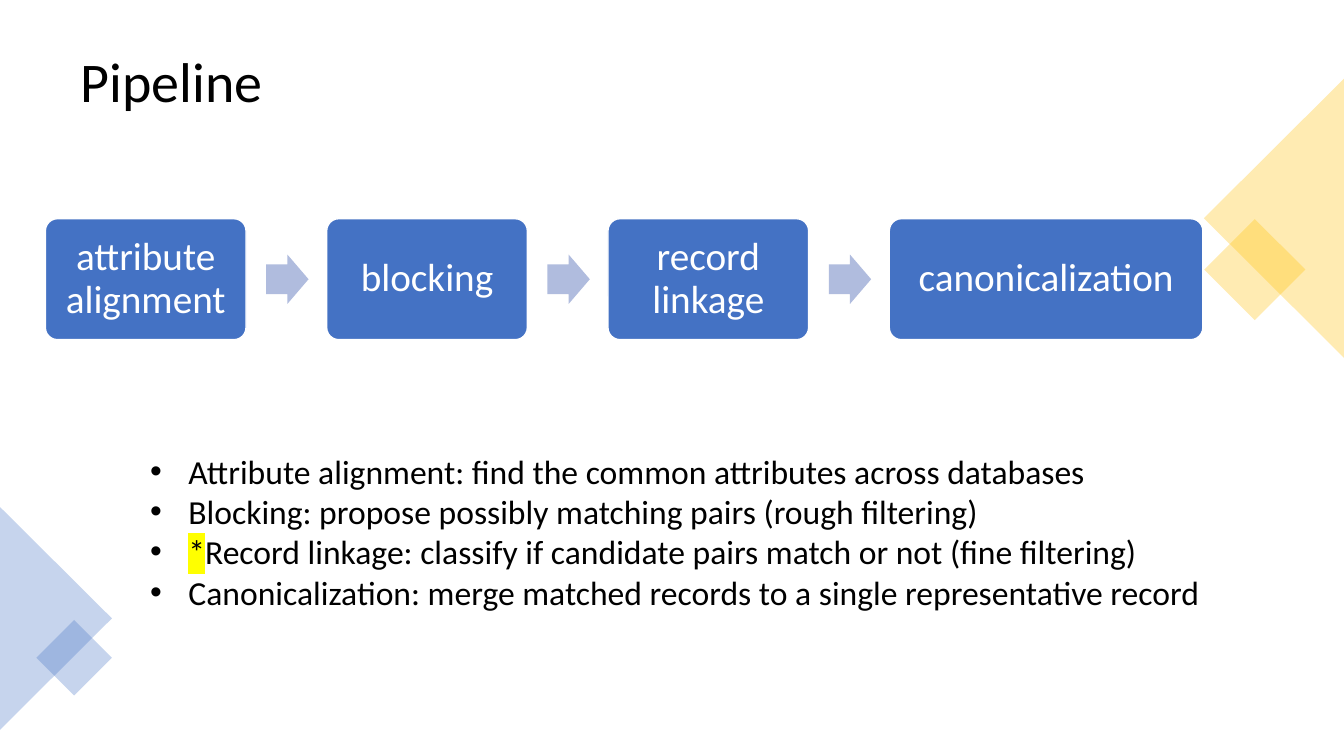
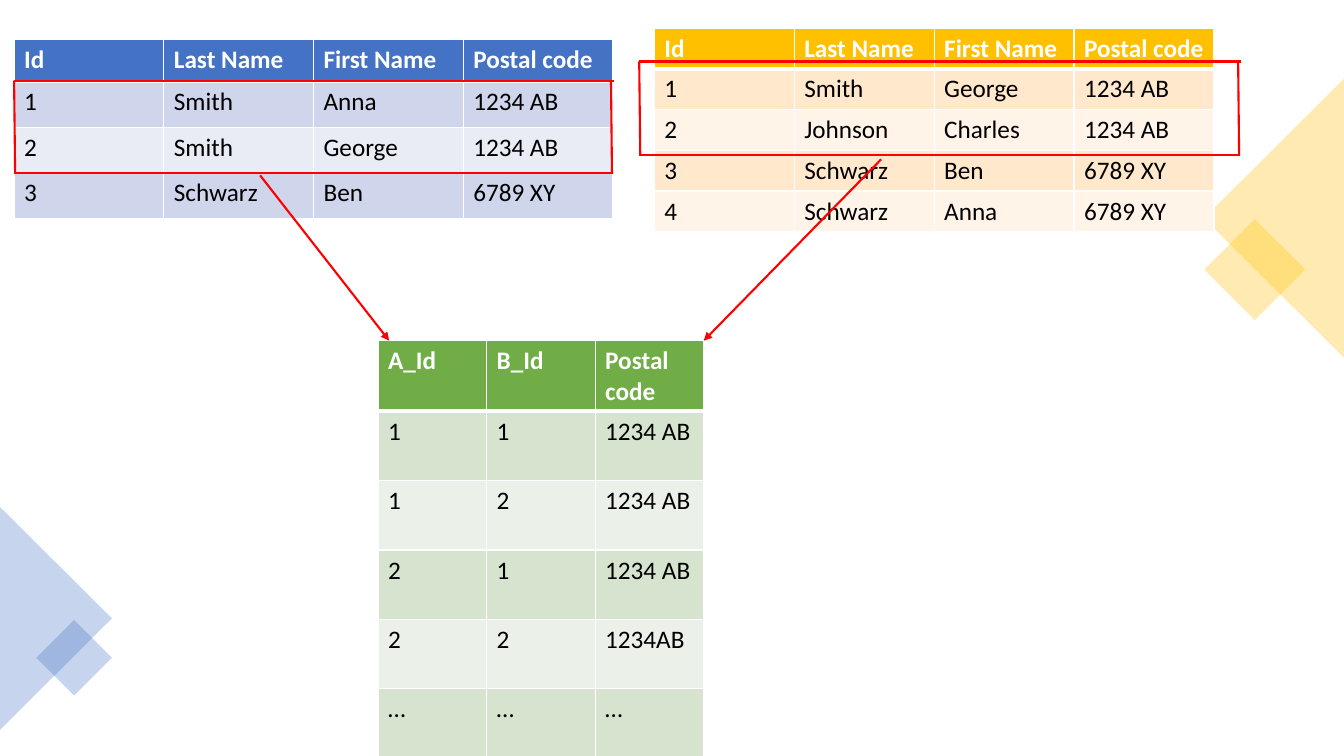
from pptx import Presentation
from pptx.dml.color import RGBColor
from pptx.enum.shapes import MSO_CONNECTOR, MSO_SHAPE
from pptx.enum.text import MSO_ANCHOR, PP_ALIGN
from pptx.oxml.ns import qn
from pptx.util import Inches, Pt
from lxml.etree import SubElement

FONT = "Calibri"
BLACK = RGBColor(0x00, 0x00, 0x00)
WHITE = RGBColor(0xFF, 0xFF, 0xFF)
RED = RGBColor(0xFF, 0x00, 0x00)
YELLOW = RGBColor(0xFF, 0xFF, 0x00)
BLUE = RGBColor(0x44, 0x72, 0xC4)
GOLD = RGBColor(0xFF, 0xC0, 0x00)
GREEN = RGBColor(0x70, 0xAD, 0x47)
PALE_BLUE = RGBColor(0xB0, 0xBC, 0xDE)
BLUE_BANDS = (RGBColor(0xCF, 0xD5, 0xEA), RGBColor(0xE9, 0xEB, 0xF5))
GOLD_BANDS = (RGBColor(0xFF, 0xE8, 0xCC), RGBColor(0xFF, 0xF4, 0xE7))
GREEN_BANDS = (RGBColor(0xD5, 0xE3, 0xCF), RGBColor(0xEB, 0xF1, 0xE9))

# Shape, left, top, width, height, rotation, colour
DECORATIONS = [
    (MSO_SHAPE.RECTANGLE, 12.09, 2.32, 0.71, 0.71, 45, GOLD),
    (MSO_SHAPE.ISOSCELES_TRIANGLE, 11.25, 1.47, 2.77, 1.39, 270, GOLD),
    (MSO_SHAPE.ISOSCELES_TRIANGLE, -0.55, 5.58, 2.21, 1.11, 90, BLUE),
    (MSO_SHAPE.RECTANGLE, 0.47, 6.26, 0.53, 0.53, 45, BLUE),
]
DECORATION_OPACITY = 30

# Step, box width
STEPS = [
    ("attribute alignment", 1.99),
    ("blocking", 1.99),
    ("record linkage", 1.99),
    ("canonicalization", 3.11),
]
STEP_LEFT, STEP_TOP, STEP_HEIGHT, STEP_PITCH = 0.45, 2.17, 1.2, 2.79
ARROW_OFFSET, ARROW_WIDTH, ARROW_HEIGHT = 2.19, 0.42, 0.49

# Highlighted mark, text
EXPLANATIONS = [
    ("", "Attribute alignment: find the common attributes across databases"),
    ("", "Blocking: propose possibly matching pairs (rough filtering)"),
    ("*", "Record linkage: classify if candidate pairs match or not (fine filtering)"),
    ("", "Canonicalization: merge matched records to a single representative record"),
]

PERSON_HEADER = ("Id", "Last Name", "First Name", "Postal code")
TABLES = [
    dict(left=0.14, top=0.39, column_width=1.485, row_heights=[0.42] + [0.453] * 3,
         colour=BLUE, bands=BLUE_BANDS, rows=[
             PERSON_HEADER,
             ("1", "Smith", "Anna", "1234 AB"),
             ("2", "Smith", "George", "1234 AB"),
             ("3", "Schwarz", "Ben", "6789 XY")]),
    dict(left=6.49, top=0.28, column_width=1.3875, row_heights=[0.404] * 5,
         colour=GOLD, bands=GOLD_BANDS, rows=[
             PERSON_HEADER,
             ("1", "Smith", "George", "1234 AB"),
             ("2", "Johnson", "Charles", "1234 AB"),
             ("3", "Schwarz", "Ben", "6789 XY"),
             ("4", "Schwarz", "Anna", "6789 XY")]),
    dict(left=3.75, top=3.38, column_width=1.0767, row_heights=[0.688] * 6,
         colour=GREEN, bands=GREEN_BANDS, rows=[
             ("A_Id", "B_Id", "Postal code"),
             ("1", "1", "1234 AB"),
             ("1", "2", "1234 AB"),
             ("2", "1", "1234 AB"),
             ("2", "2", "1234AB"),
             ("…", "…", "…")]),
]
# Left, top, right, bottom of the candidate rows
FRAMES = [(0.14, 0.8, 6.06, 1.72), (6.34, 0.61, 12.28, 1.54)]
ARROWS = [((2.58, 1.74), (3.86, 3.38)), ((8.74, 1.58), (6.98, 3.38))]


def set_font(para, size, colour, bold=False):
    para.font.name = FONT
    para.font.size = Pt(size)
    para.font.bold = bold
    para.font.color.rgb = colour


def add_filled_shape(page, kind, left, top, width, height, colour):
    shape = page.shapes.add_shape(
        kind, Inches(left), Inches(top), Inches(width), Inches(height))
    shape.shadow.inherit = False
    shape.fill.solid()
    shape.fill.fore_color.rgb = colour
    shape.line.fill.background()
    return shape


def add_decorations(page):
    for kind, left, top, width, height, rotation, colour in DECORATIONS:
        shape = add_filled_shape(page, kind, left, top, width, height, colour)
        shape.rotation = rotation
        fill_colour = shape.element.spPr.find(qn("a:solidFill"))[0]
        SubElement(fill_colour, qn("a:alpha"), val=str(DECORATION_OPACITY * 1000))


def add_title(page, text):
    title = page.shapes.title
    title.left, title.top = Inches(0.7), Inches(0.35)
    title.width, title.height = Inches(11.93), Inches(0.98)
    title.text_frame.text = text
    title.text_frame.vertical_anchor = MSO_ANCHOR.MIDDLE
    para = title.text_frame.paragraphs[0]
    para.alignment = PP_ALIGN.LEFT
    para.line_spacing = 0.9
    set_font(para, 40, BLACK)


def add_pipeline(page):
    for index, (text, width) in enumerate(STEPS):
        left = STEP_LEFT + index * STEP_PITCH
        box = add_filled_shape(page, MSO_SHAPE.ROUNDED_RECTANGLE,
                               left, STEP_TOP, width, STEP_HEIGHT, BLUE)
        box.adjustments[0] = 0.1
        box.line.color.rgb = WHITE
        box.line.width = Pt(1)
        frame = box.text_frame
        frame.word_wrap = True
        frame.vertical_anchor = MSO_ANCHOR.MIDDLE
        frame.margin_left = frame.margin_right = Inches(0.12)
        frame.text = text
        para = frame.paragraphs[0]
        para.alignment = PP_ALIGN.CENTER
        para.line_spacing = 0.9
        set_font(para, 28, WHITE)
        if index < len(STEPS) - 1:
            arrow = add_filled_shape(
                page, MSO_SHAPE.RIGHT_ARROW, left + ARROW_OFFSET,
                STEP_TOP + (STEP_HEIGHT - ARROW_HEIGHT) / 2,
                ARROW_WIDTH, ARROW_HEIGHT, PALE_BLUE)
            arrow.adjustments[0] = 0.6
            arrow.adjustments[1] = 0.5


def add_explanations(page):
    box = page.shapes.add_textbox(Inches(1.39), Inches(4.42), Inches(11.31), Inches(2.12))
    frame = box.text_frame
    frame.word_wrap = True
    for index, (mark, text) in enumerate(EXPLANATIONS):
        para = frame.add_paragraph() if index else frame.paragraphs[0]
        set_font(para, 24, BLACK)
        properties = para._p.get_or_add_pPr()
        properties.set("marL", str(Inches(0.38)))
        properties.set("indent", str(Inches(-0.38)))
        bullet = properties.makeelement(qn("a:buChar"), {"char": "•"})
        properties.insert(0, bullet)
        bullet_font = properties.makeelement(qn("a:buFont"), {"typeface": "Arial"})
        properties.insert(0, bullet_font)
        if mark:
            span = para.add_run()
            span.text = mark
            highlight = SubElement(span._r.get_or_add_rPr(), qn("a:highlight"))
            SubElement(highlight, qn("a:srgbClr"), val=str(YELLOW))
        para.add_run().text = text


def set_borders(cell, row_index):
    """Draw thin white borders, with a thick one under the header row."""
    properties = cell._tc.get_or_add_tcPr()
    widths = {"lnL": 1, "lnR": 1,
              "lnT": 3 if row_index == 1 else 1,
              "lnB": 3 if row_index == 0 else 1}
    for side, width in widths.items():
        border = SubElement(properties, qn(f"a:{side}"), w=str(Pt(width)))
        fill = SubElement(border, qn("a:solidFill"))
        SubElement(fill, qn("a:srgbClr"), val=str(WHITE))


def add_record_table(page, left, top, column_width, row_heights, colour, bands, rows):
    columns = len(rows[0])
    table = page.shapes.add_table(
        len(rows), columns, Inches(left), Inches(top),
        Inches(column_width * columns), Inches(sum(row_heights))).table
    for column in table.columns:
        column.width = Inches(column_width)
    for row_index, (values, height) in enumerate(zip(rows, row_heights)):
        is_header = row_index == 0
        table.rows[row_index].height = Inches(height)
        for column_index, value in enumerate(values):
            cell = table.cell(row_index, column_index)
            set_borders(cell, row_index)
            cell.fill.solid()
            cell.fill.fore_color.rgb = colour if is_header else bands[(row_index - 1) % 2]
            cell.text = value
            set_font(cell.text_frame.paragraphs[0], 18,
                     WHITE if is_header else BLACK, bold=is_header)


def add_red_line(page, start, end, arrowhead=False):
    line = page.shapes.add_connector(
        MSO_CONNECTOR.STRAIGHT, *(Inches(value) for value in (*start, *end)))
    line.line.color.rgb = RED
    line.line.width = Pt(1.5)
    if arrowhead:
        SubElement(line.element.spPr.find(qn("a:ln")), qn("a:tailEnd"), type="triangle")
    SubElement(line.element.spPr, qn("a:effectLst"))


def add_row_frame(page, left, top, right, bottom):
    """Frame table rows with four lines: sides lean slightly, edges overshoot."""
    for x in (left, right):
        add_red_line(page, (x, top), (x + 0.01, bottom))
    add_red_line(page, (left, top), (right + 0.03, top))
    add_red_line(page, (left, bottom), (right + 0.02, bottom))


def add_page(deck, layout_index):
    page = deck.slides.add_slide(deck.slide_layouts[layout_index])
    add_decorations(page)
    return page


def main():
    deck = Presentation()
    deck.slide_width, deck.slide_height = Inches(13.33), Inches(7.5)
    title_only, blank = 5, 6

    page = add_page(deck, title_only)
    add_title(page, "Pipeline")
    add_pipeline(page)
    add_explanations(page)

    page = add_page(deck, blank)
    for table in TABLES:
        add_record_table(page, **table)
    for frame in FRAMES:
        add_row_frame(page, *frame)
    for start, end in ARROWS:
        add_red_line(page, start, end, arrowhead=True)

    deck.save("out.pptx")


if __name__ == "__main__":
    main()
